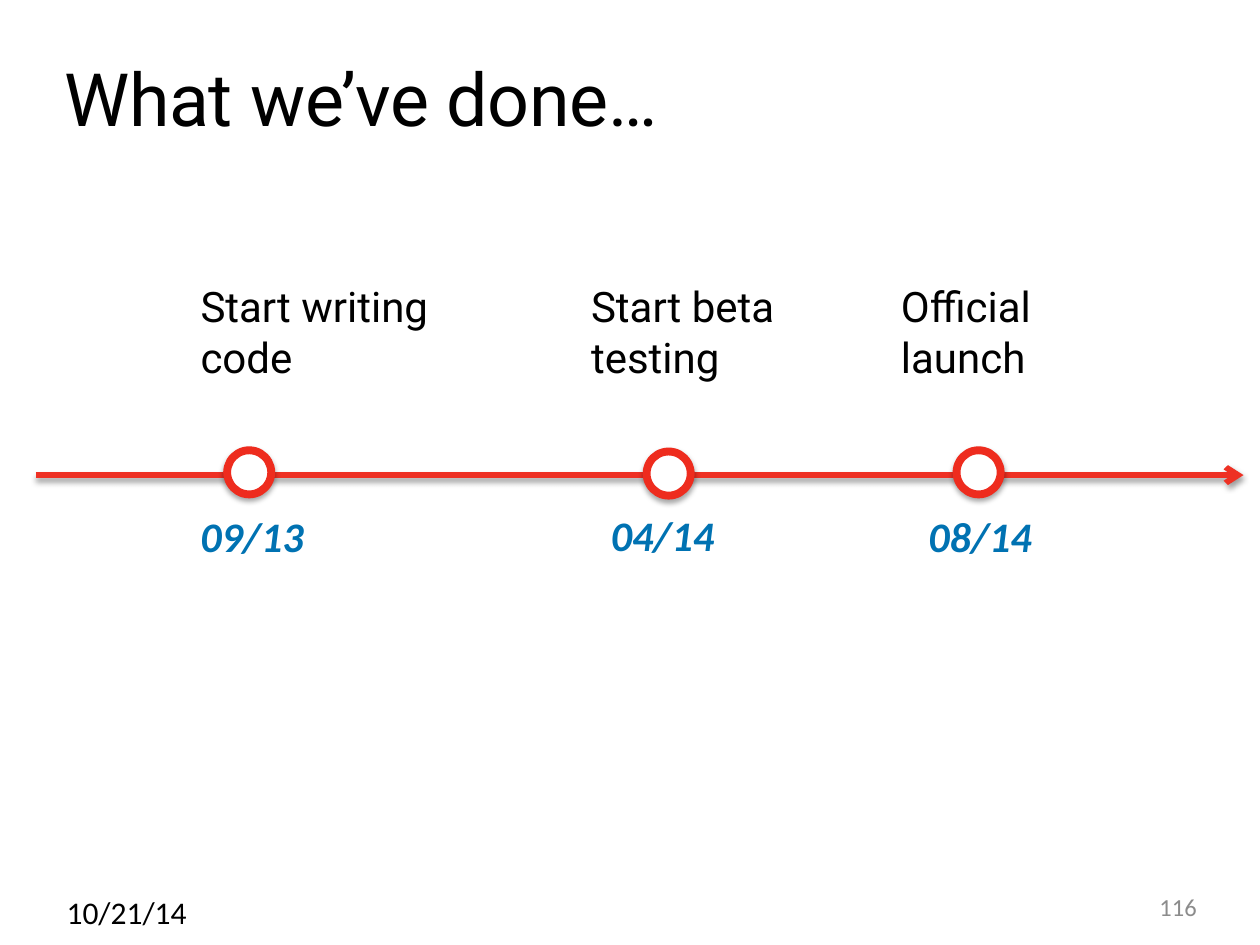
from dataclasses import dataclass

from lxml.etree import SubElement
from pptx import Presentation
from pptx.dml.color import RGBColor
from pptx.enum.shapes import MSO_CONNECTOR, MSO_SHAPE
from pptx.enum.text import MSO_ANCHOR as Anchor, MSO_AUTO_SIZE as AutoSize, PP_ALIGN as Align
from pptx.oxml.ns import qn
from pptx.util import Pt

COLORS = {
    "text": "000000",
    "date": "0072B2",
    "number": "8C8C8C",
    "axis": "EE3124",
    "ring": "EE2C1E",
    "white": "FFFFFF",
}
RING = 25.2
LABEL_TOP, LABEL_HEIGHT = 157, 65.5
DATE_WIDTH, DATE_HEIGHT = 80, 36


@dataclass
class Milestone:
    label: str
    date: str
    label_left: float
    label_width: float
    date_left: float
    date_top: float
    ring_left: float
    ring_top: float


MILESTONES = [
    Milestone("Start writing code", "09/13", 107.5, 148, 107.5, 288, 129.8, 257.3),
    Milestone("Start beta testing", "04/14", 330.7, 128, 342, 287.5, 369.5, 258),
    Milestone("Official launch", "08/14", 507.8, 127.5, 523.5, 288, 546.6, 257.3),
]


def rgb(name: str) -> RGBColor:
    return RGBColor.from_string(COLORS[name])


def style_text(sp, text: str, size: float, font: str, color: str, bold: bool = False,
               align: Align = Align.LEFT, anchor: Anchor = Anchor.TOP,
               wrap: bool = True, grow: bool = False) -> None:
    tf = sp.text_frame
    tf.text = text
    tf.word_wrap = wrap
    tf.vertical_anchor = anchor
    tf.auto_size = AutoSize.SHAPE_TO_FIT_TEXT if grow else AutoSize.NONE
    p = tf.paragraphs[0]
    p.alignment = align
    f = p.runs[0].font
    f.size, f.name = Pt(size), font
    f.bold = f.italic = bold
    f.color.rgb = rgb(color)


def add_text(s, left: float, top: float, width: float, height: float, text: str, **style) -> None:
    sp = s.shapes.add_textbox(Pt(left), Pt(top), Pt(width), Pt(height))
    style_text(sp, text, **style)


def add_shadow(sp, distance: float, opacity: int) -> None:
    spPr = sp._element.spPr
    effects = spPr.find(qn("a:effectLst"))
    if effects is None:
        effects = SubElement(spPr, qn("a:effectLst"))
    shadow = SubElement(effects, qn("a:outerShdw"), blurRad=str(Pt(3.1)),
                        dist=str(Pt(distance)), dir="5400000", rotWithShape="0")
    color = SubElement(shadow, qn("a:srgbClr"), val=COLORS["text"])
    SubElement(color, qn("a:alpha"), val=str(opacity * 1000))


def add_title(s, text: str) -> None:
    sp = s.shapes.title
    sp.left, sp.top, sp.width, sp.height = Pt(29.5), Pt(19.5), Pt(672.5), Pt(72)
    style_text(sp, text, 42, "Roboto", "text", anchor=Anchor.MIDDLE)
    r = sp.text_frame.paragraphs[0].runs[0]
    r._r.get_or_add_rPr().set("spc", "-20")


def add_axis(s) -> None:
    axis = s.shapes.add_connector(MSO_CONNECTOR.STRAIGHT, Pt(20.3), Pt(271.5), Pt(710.6), Pt(271.5))
    axis.line.color.rgb = rgb("axis")
    axis.line.width = Pt(3.25)
    SubElement(axis._element.spPr.find(qn("a:ln")), qn("a:tailEnd"), type="arrow")
    add_shadow(axis, 1.6, 38)


def add_milestone(s, m: Milestone) -> None:
    add_text(s, m.label_left, LABEL_TOP, m.label_width, LABEL_HEIGHT, m.label,
             size=24, font="Roboto", color="text", grow=True)
    add_text(s, m.date_left, m.date_top, DATE_WIDTH, DATE_HEIGHT, m.date,
             size=24, font="Calibri", color="date", bold=True, wrap=False, grow=True)
    sp = s.shapes.add_shape(MSO_SHAPE.OVAL, Pt(m.ring_left), Pt(m.ring_top), Pt(RING), Pt(RING))
    sp.fill.solid()
    sp.fill.fore_color.rgb = rgb("white")
    sp.line.color.rgb = rgb("ring")
    sp.line.width = Pt(4.5)
    sp.shadow.inherit = False
    add_shadow(sp, 1.8, 35)


def main() -> None:
    prs = Presentation()
    prs.slide_width, prs.slide_height = Pt(720), Pt(540)
    s = prs.slides.add_slide(prs.slide_layouts[5])
    add_title(s, "What we’ve done…")
    add_axis(s)
    for m in MILESTONES:
        add_milestone(s, m)
    add_text(s, 31, 507, 114, 21, "10/21/14", size=18, font="Calibri", color="text")
    add_text(s, 632, 509, 59, 18, "116", size=14, font="Calibri", color="number",
             align=Align.RIGHT, anchor=Anchor.MIDDLE)
    prs.save("out.pptx")


if __name__ == "__main__":
    main()
